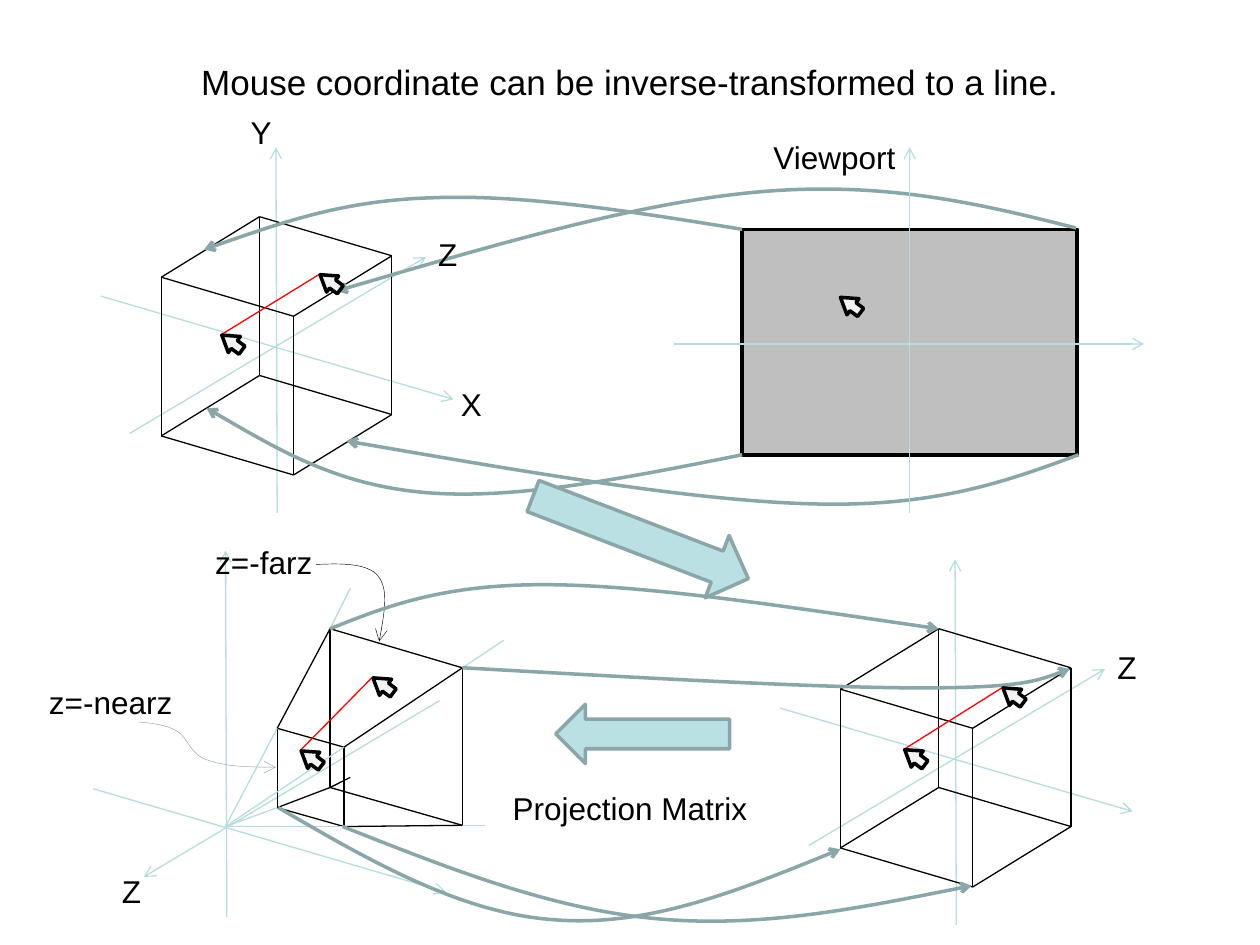
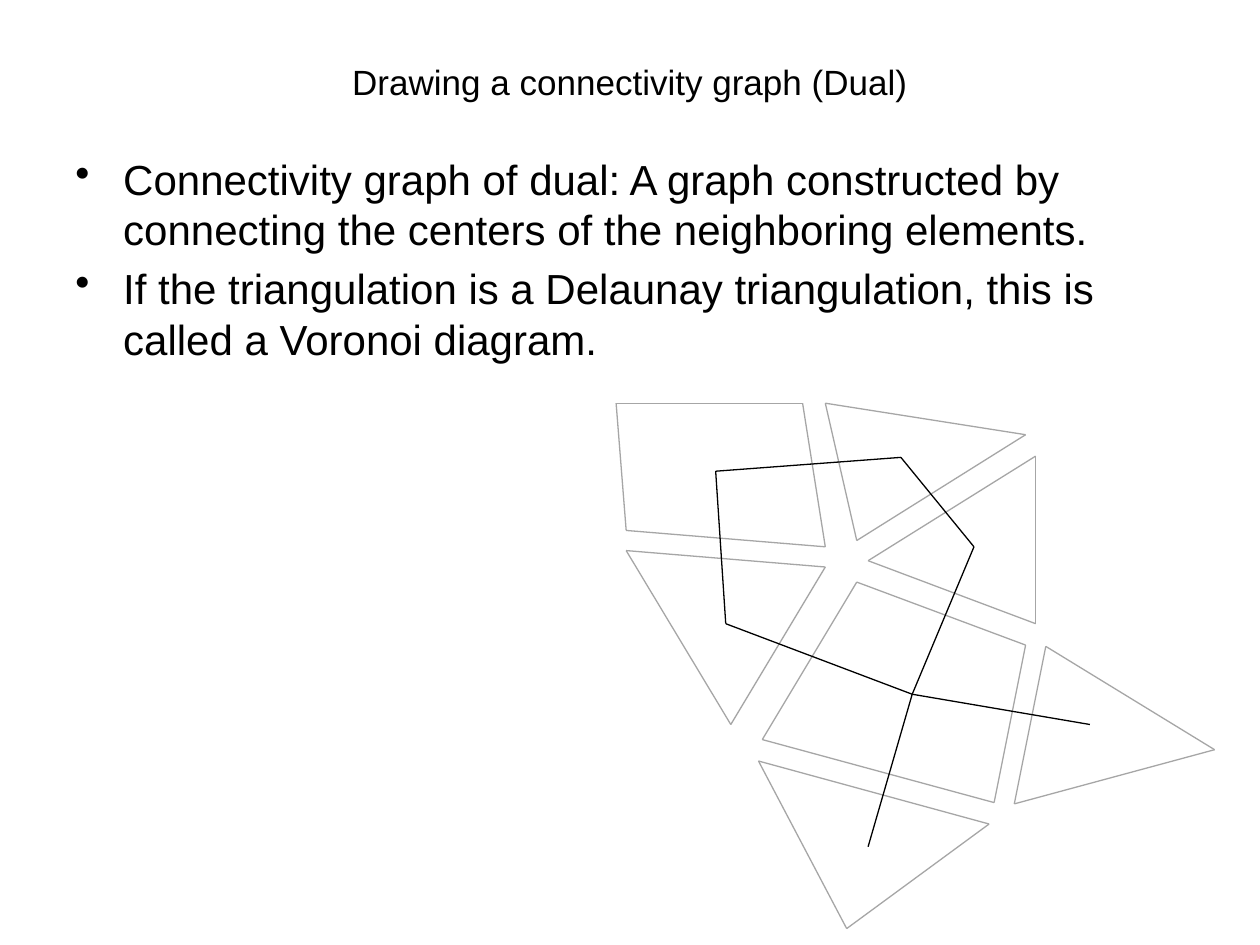
import itertools
from dataclasses import dataclass
from typing import Sequence

import pptx
import pptx.dml.color
import pptx.enum.shapes
import pptx.enum.text
import pptx.oxml
import pptx.oxml.ns
import pptx.shapes.base
import pptx.slide
import pptx.util
from lxml import etree

Point = tuple[float, float]
SHAPES = pptx.enum.shapes.MSO_SHAPE
FONT = "Arial"
COLORS = {
    "text": "000000",
    "edge": "000000",
    "axis": "B6DCDF",
    "mapping": "8AA6A8",
    "arrow": "BBE0E3",
    "viewport": "BFBFBF",
    "cursor": "F2F2F2",
    "ray": "FF0000",
    "element": "A6A6A6",
}


@dataclass(frozen=True)
class Label:
    text: str
    left: float
    top: float
    width: float
    wrap: bool = False


@dataclass(frozen=True)
class Curve:
    points: Sequence[Point]
    color: str = "mapping"
    width: float = 2


@dataclass(frozen=True)
class Block:
    preset: SHAPES
    left: float
    top: float
    width: float
    height: float
    fill: str
    line: str
    rotation: float = 0


def length(inches: float) -> pptx.util.Length:
    return pptx.util.Cm(inches * 2.54)


def rgb(name: str) -> pptx.dml.color.RGBColor:
    return pptx.dml.color.RGBColor.from_string(COLORS[name])


def shift(origin: Point, *offsets: Point) -> Point:
    xs, ys = zip(origin, *offsets)
    return sum(xs), sum(ys)


def style_line(shape: pptx.shapes.base.BaseShape, color: str, width: float, arrow: bool) -> None:
    shape.line.color.rgb = rgb(color)
    shape.line.width = pptx.util.Pt(width)
    if arrow:
        outline = shape._element.spPr.find(pptx.oxml.ns.qn("a:ln"))
        etree.SubElement(outline, pptx.oxml.ns.qn("a:tailEnd"), type="arrow")


def draw_line(slide: pptx.slide.Slide, start: Point, end: Point, color: str = "edge", arrow: bool = False) -> None:
    connector = slide.shapes.add_connector(
        pptx.enum.shapes.MSO_CONNECTOR.STRAIGHT, *map(length, (*start, *end))
    )
    style_line(connector, color, 0.75, arrow)
    etree.SubElement(connector._element.spPr, pptx.oxml.ns.qn("a:effectLst"))


def draw_ring(slide: pptx.slide.Slide, corners: Sequence[Point], color: str = "edge") -> None:
    for start, end in itertools.pairwise([*corners, corners[0]]):
        draw_line(slide, start, end, color)


def draw_curve(slide: pptx.slide.Slide, curve: Curve) -> None:
    points = [(length(x), length(y)) for x, y in curve.points]
    builder = slide.shapes.build_freeform(*points[0])
    builder.add_line_segments(points[1:], close=False)
    shape = builder.convert_to_shape()
    shape.shadow.inherit = False
    shape.fill.background()
    style_line(shape, curve.color, curve.width, True)
    outline = next(shape._element.iter(pptx.oxml.ns.qn("a:path")))
    segments = outline.findall(pptx.oxml.ns.qn("a:lnTo"))
    for first in range(0, len(segments), 3):
        bezier = etree.SubElement(outline, pptx.oxml.ns.qn("a:cubicBezTo"))
        for segment in segments[first:first + 3]:
            bezier.append(segment[0])
            outline.remove(segment)


def draw_block(slide: pptx.slide.Slide, block: Block) -> pptx.shapes.base.BaseShape:
    shape = slide.shapes.add_shape(
        block.preset, *map(length, (block.left, block.top, block.width, block.height))
    )
    shape.shadow.inherit = False
    shape.rotation = block.rotation
    shape.fill.solid()
    shape.fill.fore_color.rgb = rgb(block.fill)
    style_line(shape, block.line, 2, False)
    return shape


def draw_cursor(slide: pptx.slide.Slide, left: float, top: float) -> None:
    shape = draw_block(slide, Block(SHAPES.DOWN_ARROW, left, top, 0.16, 0.2, "cursor", "edge", 126.8))
    shape.adjustments[0] = 0.5
    shape.adjustments[1] = 0.777


def draw_ray(slide: pptx.slide.Slide, near: Point, far: Point) -> None:
    draw_line(slide, near, far, "ray")
    for x, y in (near, far):
        draw_cursor(slide, x + 0.01, y - 0.04)


def draw_text(
    slide: pptx.slide.Slide, lines: Sequence[str], box: Sequence[float], size: float, wrap: bool = True
) -> pptx.shapes.base.BaseShape:
    shape = slide.shapes.add_textbox(*map(length, box))
    frame = shape.text_frame
    frame.word_wrap = wrap
    frame.text = "\n".join(lines)
    for paragraph in frame.paragraphs:
        paragraph.font.name = FONT
        paragraph.font.size = pptx.util.Pt(size)
        paragraph.font.color.rgb = rgb("text")
    return shape


def draw_label(slide: pptx.slide.Slide, label: Label) -> None:
    draw_text(slide, [label.text], (label.left, label.top, label.width, 0.4), 18, label.wrap)


def draw_title(slide: pptx.slide.Slide, title: str) -> None:
    frame = draw_text(slide, [title], (0.5, 0.3, 9, 0.7), 20).text_frame
    frame.vertical_anchor = pptx.enum.text.MSO_ANCHOR.MIDDLE
    frame.paragraphs[0].alignment = pptx.enum.text.PP_ALIGN.CENTER


def draw_bullets(slide: pptx.slide.Slide, lines: Sequence[str]) -> None:
    shape = draw_text(slide, lines, (0.5, 1.17, 9, 5.53), 24)
    for paragraph in shape.text_frame.paragraphs:
        paragraph.space_before = pptx.util.Pt(4.8)
        properties = paragraph._p.get_or_add_pPr()
        properties.set("marL", str(length(0.38)))
        properties.set("indent", str(-length(0.38)))
        bullet = etree.Element(pptx.oxml.ns.qn("a:buChar"), char="•")
        properties.find(pptx.oxml.ns.qn("a:spcBef")).addnext(bullet)


def draw_cube(slide: pptx.slide.Slide, corner: Point) -> None:
    for start, end in (
        ((1.32, 0.32), (-1.03, 1.72)),
        ((0.14, 2.35), (0.13, -0.55)),
        ((-1.26, 0.63), (1.54, 1.45)),
    ):
        forward = start != (1.32, 0.32)
        ends = (shift(corner, start), shift(corner, end))
        draw_line(slide, *(ends if forward else ends[::-1]), "axis", True)
    sides = ((1.05, 0.31), (0, 1.26), (-0.78, 0.48))
    for side in sides:
        first, second = (other for other in sides if other != side)
        for offsets in ((), (first,), (second,), (first, second)):
            start = shift(corner, *offsets)
            draw_line(slide, start, shift(start, side))


def draw_frustum(slide: pptx.slide.Slide) -> None:
    eye = (1.79, 6.56)
    far = [(2.62, 4.99), (3.67, 5.3), (3.67, 6.55), (2.62, 6.25)]
    near = [(2.2, 5.78), (2.73, 5.93), (2.73, 6.56), (2.2, 6.41)]
    beyond = [(2.78, 4.67), (4, 5.08), (3.85, 6.55), (2.78, 6.17)]
    for start, end in (
        ((3.49, 5.56), (1.14, 6.96)),
        ((1.8, 7.28), (1.79, 4.37)),
        ((0.74, 6.26), (3.54, 7.08)),
    ):
        draw_line(slide, start, end, "axis", True)
    draw_ring(slide, far)
    draw_ring(slide, near)
    colors = ("axis", "axis", "axis", "edge")
    for near_corner, far_corner, tip, color in zip(near, far, beyond, colors):
        draw_line(slide, far_corner, tip, color)
        draw_line(slide, near_corner, far_corner)
        draw_line(slide, eye, near_corner, "axis")


def build_mouse_slide(slide: pptx.slide.Slide) -> None:
    draw_title(slide, "Mouse coordinate can be inverse-transformed to a line.")
    draw_cube(slide, (2.06, 1.72))
    draw_block(slide, Block(SHAPES.RECTANGLE, 5.89, 1.82, 2.66, 1.79, "viewport", "edge"))
    for curve in (
        Curve([(8.54, 1.81), (7.79, 1.62), (7.04, 1.44), (6.06, 1.52), (5.08, 1.6), (3.87, 1.96), (2.67, 2.31)]),
        Curve([(5.89, 1.82), (5.02, 1.68), (4.15, 1.54), (3.43, 1.57), (2.72, 1.59), (2.17, 1.79), (1.62, 1.98)]),
        Curve([(8.56, 3.61), (8.01, 3.81), (7.46, 4.02), (6.49, 4), (5.52, 3.98), (4.14, 3.74), (2.75, 3.5)]),
        Curve([(5.89, 3.61), (4.99, 3.79), (4.09, 3.97), (3.38, 3.91), (2.67, 3.85), (2.16, 3.54), (1.64, 3.24)]),
    ):
        draw_curve(slide, curve)
    draw_line(slide, (5.35, 2.73), (9.08, 2.73), "axis", True)
    draw_line(slide, (7.22, 4.07), (7.22, 1.17), "axis", True)
    draw_frustum(slide)
    draw_block(slide, Block(SHAPES.RIGHT_ARROW, 4.41, 5.59, 1.38, 0.47, "arrow", "mapping", 180))
    draw_cube(slide, (7.45, 4.99))
    for curve in (
        Curve(
            [(1.1, 5.73), (1.2, 5.74), (1.31, 5.75), (1.4, 5.8), (1.49, 5.85),
             (1.51, 5.99), (1.64, 6.03), (1.77, 6.08), (1.98, 6.09), (2.19, 6.09)],
            "mapping", 0.25,
        ),
        Curve(
            [(2.51, 4.48), (2.71, 4.47), (2.92, 4.47), (3, 4.57), (3.08, 4.67), (3.05, 4.88), (3.01, 5.09)],
            "edge", 0.25,
        ),
        Curve([(2.62, 4.99), (3.07, 4.81), (3.51, 4.64), (4.31, 4.64), (5.12, 4.64), (6.28, 4.82), (7.45, 4.99)]),
        Curve([(3.67, 5.3), (5.09, 5.38), (6.5, 5.46), (7.31, 5.46), (8.11, 5.46), (8.3, 5.38), (8.49, 5.31)]),
        Curve([(2.72, 6.56), (3.53, 6.88), (4.35, 7.21), (5.19, 7.29), (6.02, 7.37), (6.86, 7.2), (7.71, 7.03)]),
        Curve([(2.21, 6.41), (2.93, 6.83), (3.66, 7.25), (4.4, 7.3), (5.14, 7.36), (5.91, 7.05), (6.67, 6.74)]),
    ):
        draw_curve(slide, curve)
    for label in (
        Label("Z", 3.38, 1.82, 0.36),
        Label("X", 3.56, 3.01, 0.37),
        Label("Y", 1.89, 0.85, 0.37),
        Label("Viewport", 6.04, 1.05, 2.44, True),
        Label("z=-nearz", 0.29, 5.37, 1.29, True),
        Label("z=-farz", 1.61, 4.26, 1.29, True),
        Label("Projection Matrix", 3.97, 6.21, 2.08),
        Label("Z", 0.87, 6.87, 0.36),
        Label("Z", 8.77, 5.09, 0.36),
    ):
        draw_label(slide, label)
    draw_cursor(slide, 6.67, 2.32)
    draw_ray(slide, (1.75, 2.66), (2.53, 2.18))
    draw_ray(slide, (7.17, 5.95), (7.95, 5.46))
    draw_block(slide, Block(SHAPES.RIGHT_ARROW, 4.17, 4, 1.83, 0.53, "arrow", "mapping", 21))
    draw_ray(slide, (2.38, 5.96), (2.95, 5.38))


def build_graph_slide(slide: pptx.slide.Slide) -> None:
    draw_title(slide, "Drawing a connectivity graph (Dual)")
    draw_bullets(slide, [
        "Connectivity graph of dual: A graph constructed by connecting the centers of the neighboring elements.",
        "If the triangulation is a Delaunay triangulation, this is called a Voronoi diagram.",
    ])
    for corners in (
        [(6.8, 4.62), (8.14, 5.12), (7.89, 6.37), (6.05, 5.87)],
        [(6.89, 4.45), (8.22, 3.62), (8.22, 4.95)],
        [(6.55, 4.5), (5.8, 5.75), (4.97, 4.37)],
        [(9.64, 5.95), (8.05, 6.38), (8.3, 5.13)],
        [(6.02, 6.04), (6.72, 7.37), (7.85, 6.54)],
        [(6.55, 3.2), (6.8, 4.29), (8.14, 3.45)],
        [(4.89, 3.2), (6.37, 3.2), (6.55, 4.34), (4.97, 4.21)],
    ):
        draw_ring(slide, corners, "element")
    hub = (7.24, 5.51)
    draw_ring(slide, [hub, (5.76, 4.95), (5.68, 3.74), (7.15, 3.63), (7.73, 4.34)])
    for center in ((8.65, 5.75), (6.89, 6.72)):
        draw_line(slide, hub, center)


presentation = pptx.Presentation()
presentation.slide_width = length(10)
presentation.slide_height = length(7.5)
for build in (build_mouse_slide, build_graph_slide):
    build(presentation.slides.add_slide(presentation.slide_layouts[6]))
presentation.save("out.pptx")
